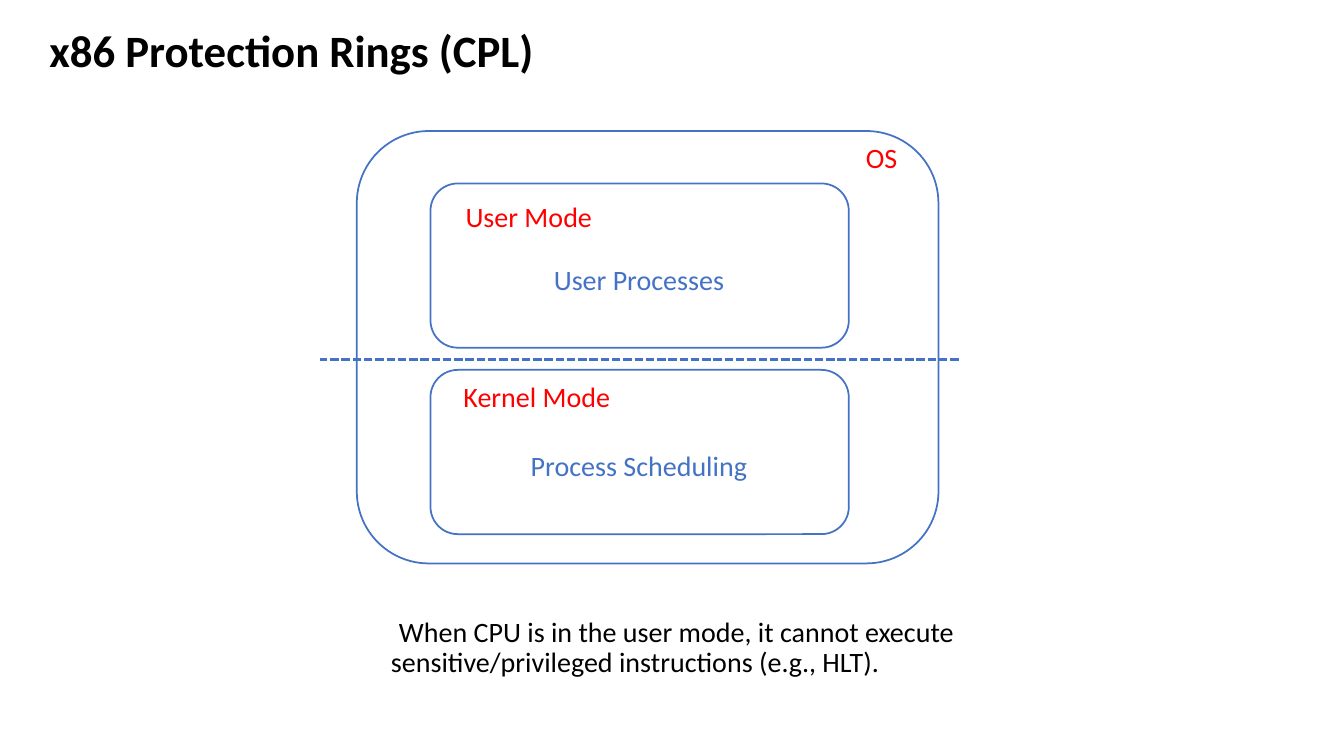
from lxml.etree import SubElement
from pptx import Presentation
from pptx.dml.color import RGBColor
from pptx.enum.dml import MSO_LINE
from pptx.enum.shapes import MSO_CONNECTOR, MSO_SHAPE
from pptx.enum.text import MSO_ANCHOR, PP_ALIGN
from pptx.oxml.ns import qn
from pptx.util import Inches, Pt

BLUE = RGBColor(0x44, 0x72, 0xC4)
RED = RGBColor(0xFF, 0x00, 0x00)
BLACK = RGBColor(0x00, 0x00, 0x00)

prs = Presentation()
prs.slide_width, prs.slide_height = Inches(13.33), Inches(7.5)
s = prs.slides.add_slide(prs.slide_layouts[6])


def place(x, y, w, h):
    col, row = prs.slide_width / 100, prs.slide_height / 100
    return [int(v) for v in (x * col, y * row, w * col, h * row)]


def write(sp, text, size, color, anchor, align, bold=False):
    tf = sp.text_frame
    tf.word_wrap = True
    tf.vertical_anchor = anchor
    p = tf.paragraphs[0]
    p.alignment = align
    r = p.add_run()
    r.text = text
    r.font.name = "Calibri"
    r.font.size = Pt(size)
    r.font.bold = bold
    r.font.color.rgb = color
    return p


mode_x, mode_w, mode_h = 32.03, 31.13, 21.73
user_y, kernel_y = 24.27, 48.93

for box in [
    (mode_x, user_y, mode_w, mode_h),
    (mode_x, kernel_y, mode_w, mode_h),
    (26.55, 17.33, 43.28, 57.2),
]:
    sp = s.shapes.add_shape(MSO_SHAPE.ROUNDED_RECTANGLE, *place(*box))
    sp.shadow.inherit = False
    sp.fill.background()
    sp.line.color.rgb = BLUE
    sp.line.width = Pt(1.25)

for text, color, box in [
    ("User Mode", RED, (mode_x, user_y + 0.4, 14.63, 8)),
    ("Kernel Mode", RED, (mode_x, kernel_y + 0.27, 15.83, 6.53)),
    ("OS", RED, (60.68, 17.33, 9.83, 7.07)),
    ("User Processes", BLUE, (33.6, user_y + 9.2, 27.9, 7.07)),
    ("Process Scheduling", BLUE, (33.6, kernel_y + 9.07, 27.9, 7.07)),
]:
    sp = s.shapes.add_shape(MSO_SHAPE.ROUNDED_RECTANGLE, *place(*box))
    sp.shadow.inherit = False
    sp.fill.background()
    sp.line.fill.background()
    write(sp, text, 20, color, MSO_ANCHOR.MIDDLE, PP_ALIGN.CENTER)

border = s.shapes.add_connector(
    MSO_CONNECTOR.STRAIGHT, *place(71.33, 47.6, 23.78, 47.6)
)
border.line.color.rgb = BLUE
border.line.width = Pt(2)
border.line.dash_style = MSO_LINE.SQUARE_DOT
SubElement(border._element.spPr, qn("a:effectLst"))

title = s.shapes.add_textbox(*place(2.93, 1.33, 50.93, 11.33))
p = write(title, "x86 Protection Rings (CPL)", 32, BLACK,
          MSO_ANCHOR.MIDDLE, PP_ALIGN.LEFT, bold=True)
p.line_spacing = 0.9

note = s.shapes.add_textbox(*place(28.35, 81.07, 45, 11.33))
p = write(
    note,
    "When CPU is in the user mode, it cannot execute "
    "sensitive/privileged instructions (e.g., HLT).",
    20, BLACK, MSO_ANCHOR.TOP, PP_ALIGN.LEFT,
)
p.line_spacing = 0.9
p._p.get_or_add_pPr().set("indent", str(Inches(0.08)))

prs.save("out.pptx")
